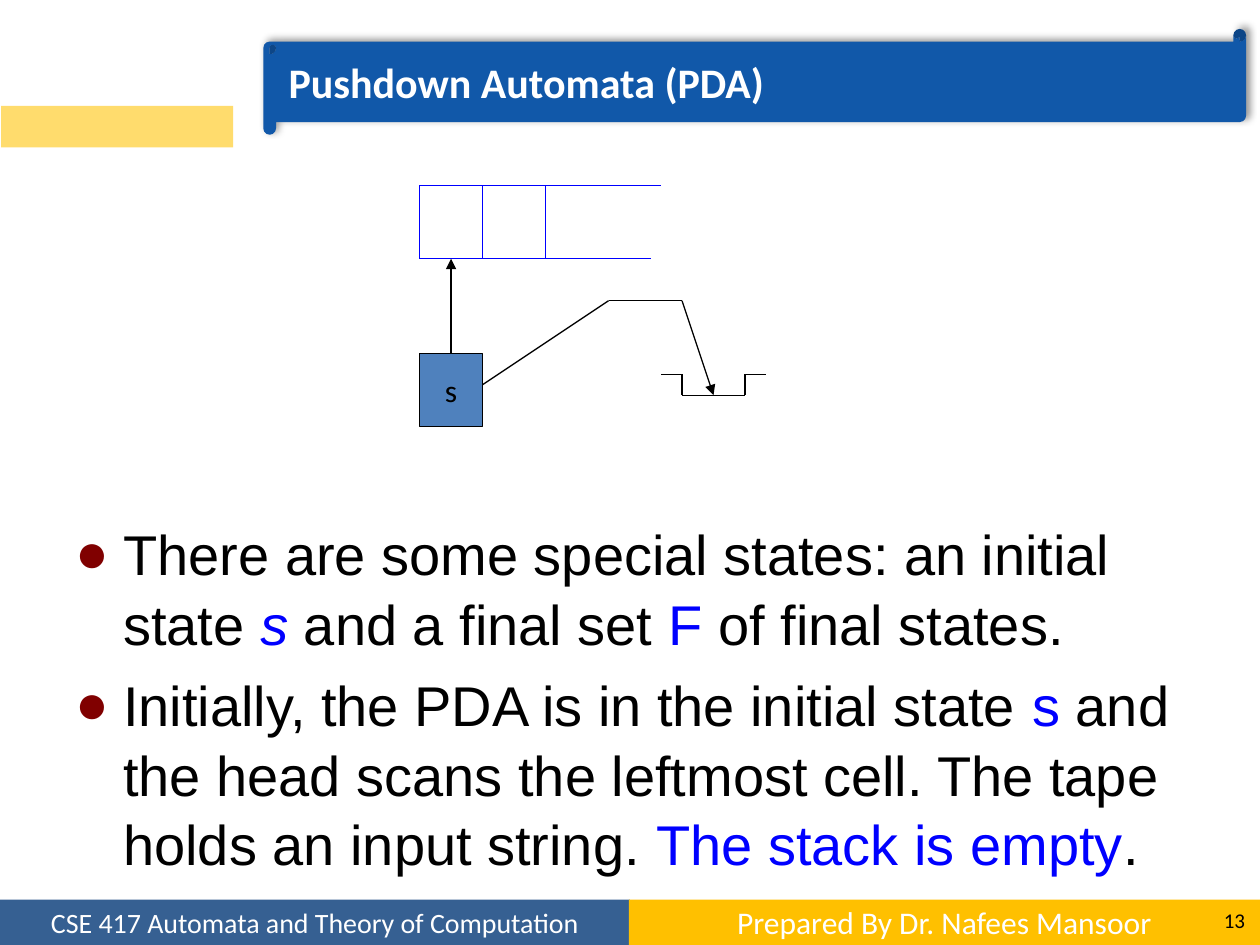
"""Build the slide on the initial setup of a pushdown automaton."""
from lxml import etree
from pptx import Presentation
from pptx.dml.color import RGBColor
from pptx.enum.shapes import MSO_CONNECTOR, MSO_SHAPE
from pptx.enum.text import MSO_ANCHOR, MSO_AUTO_SIZE, PP_ALIGN
from pptx.oxml import parse_xml
from pptx.oxml.ns import nsdecls, qn
from pptx.util import Inches, Pt

RECT, SCROLL = MSO_SHAPE.RECTANGLE, MSO_SHAPE.HORIZONTAL_SCROLL
LEFT, MID, RIGHT = PP_ALIGN.LEFT, PP_ALIGN.CENTER, PP_ALIGN.RIGHT
HUE = {"black": "000000", "white": "FFFFFF", "blue": "0000FF",
       "navy": "366092", "gold": "FFC000", "sand": "FFDC6D",
       "steel": "4F81BD", "scroll": "1158A9", "dot": "800000"}
STEP = 1 / 12
COL0, ROW0 = 3.33, 1.47


def style(run, face, size, hue, bold=False, slant=False):
    font = run.font
    font.name, font.size = face, Pt(size)
    font.bold, font.italic = bold, slant
    font.color.rgb = RGBColor.from_string(HUE[hue])


def block(kind, left, top, width, height, fill):
    item = slide.shapes.add_shape(
        kind, Inches(left), Inches(top), Inches(width), Inches(height))
    item.shadow.inherit = False
    item.fill.solid()
    item.fill.fore_color.rgb = RGBColor.from_string(HUE[fill])
    item.line.fill.background()
    return item


deck = Presentation()
deck.slide_width, deck.slide_height = Inches(10), Inches(7.5)
slide = deck.slides.add_slide(deck.slide_layouts[5])

left_bar = block(RECT, 0, 7.14, 5, 0.36, "navy")
right_bar = block(RECT, 4.99, 7.14, 5.01, 0.36, "gold")
block(RECT, 0.01, 0.84, 1.84, 0.33, "sand")
state = block(RECT, COL0, ROW0 + 16 * STEP, 6 * STEP, 7 * STEP, "steel")
state.line.color.rgb = RGBColor.from_string(HUE["black"])
state.line.width = Pt(0.75)
scroll = block(SCROLL, 2.09, 0.23, 7.8, 0.84, "scroll")
scroll.adjustments[0] = 0.12
glow = scroll._element.spPr.find(qn("a:effectLst"))
glow.append(parse_xml(
    f'<a:outerShdw {nsdecls("a")} blurRad="{Pt(4)}" dist="{Pt(3)}" '
    'dir="18900000" algn="bl" rotWithShape="0"><a:srgbClr val="000000">'
    '<a:alpha val="40000"/></a:srgbClr></a:outerShdw>'))

title = slide.shapes.title
title.left, title.top = Inches(2.19), Inches(0.33)
title.width, title.height = Inches(7.6), Inches(0.64)
slide.shapes._spTree.append(title._element)
number = slide.shapes.add_textbox(
    Inches(9.33), Inches(7.1), Inches(0.65), Inches(0.4))

labels = [
    (left_bar, "CSE 417 Automata and Theory of Computation", 16, "white", MID),
    (right_bar, "Prepared By Dr. Nafees Mansoor", 18, "white", MID),
    (number, "13", 12, "black", RIGHT),
    (state, "s", 18, "black", MID),
    (title, "Pushdown Automata (PDA)", 24, "white", LEFT),
]
for item, words, size, hue, side in labels:
    frame = item.text_frame
    frame.text = words
    frame.word_wrap = True
    frame.auto_size = MSO_AUTO_SIZE.NONE
    frame.vertical_anchor = MSO_ANCHOR.MIDDLE
    frame.paragraphs[0].alignment = side
    style(frame.paragraphs[0].runs[0], "Calibri", size, hue, item is title)

tape = [[(0, 0), (23, 0)], [(0, 7), (22, 7)]]
tape += [[(col, 0), (col, 7)] for col in (0, 6, 12)]
stack = [(23, 18), (25, 18), (25, 20), (31, 20), (31, 18), (33, 18)]
head = [(3, 16), (3, 7)]
link = [(6, 19), (18, 11), (25, 11), (28, 20)]
routes = [(route, "blue", False) for route in tape]
routes += [(stack, "black", False), (head, "black", True), (link, "black", True)]
for route, hue, arrow in routes:
    for start, end in zip(route, route[1:]):
        ends = [Inches(base + STEP * step) for point in (start, end)
                for base, step in zip((COL0, ROW0), point)]
        line = slide.shapes.add_connector(MSO_CONNECTOR.STRAIGHT, *ends)
        line.line.color.rgb = RGBColor.from_string(HUE[hue])
        line.line.width = Pt(0.75)
        etree.SubElement(line._element.spPr, qn("a:effectLst"))
        if arrow and end == route[-1]:
            etree.SubElement(line.line._get_or_add_ln(), qn("a:tailEnd"),
                             type="triangle")

points = [
    [("There are some special states: an initial state ", "black", False),
     ("s", "blue", True), (" and a final set ", "black", False),
     ("F", "blue", False), (" of final states.", "black", False)],
    [("Initially, the PDA is in the initial state ", "black", False),
     ("s", "blue", False),
     (" and the head scans the leftmost cell. The tape holds an input string. ",
      "black", False),
     ("The stack is empty", "blue", False), (".", "black", False)],
]
body = slide.shapes.add_textbox(
    Inches(0.5), Inches(4.05), Inches(9.08), Inches(3.28)).text_frame
body.word_wrap = True
for place, parts in enumerate(points):
    para = body.add_paragraph() if place else body.paragraphs[0]
    para.line_spacing = 1.04
    para.space_before = Pt(6.4 * place)
    props = para._p.get_or_add_pPr()
    props.set("marL", str(Inches(0.38)))
    props.set("indent", str(-Inches(0.38)))
    tint = etree.SubElement(props, qn("a:buClr"))
    etree.SubElement(tint, qn("a:srgbClr"), val=HUE["dot"])
    etree.SubElement(props, qn("a:buFont"), typeface="Arial")
    etree.SubElement(props, qn("a:buChar"), char="●")
    for words, hue, slant in parts:
        run = para.add_run()
        run.text = words
        style(run, "Arial", 32, hue, slant=slant)

deck.save("out.pptx")
